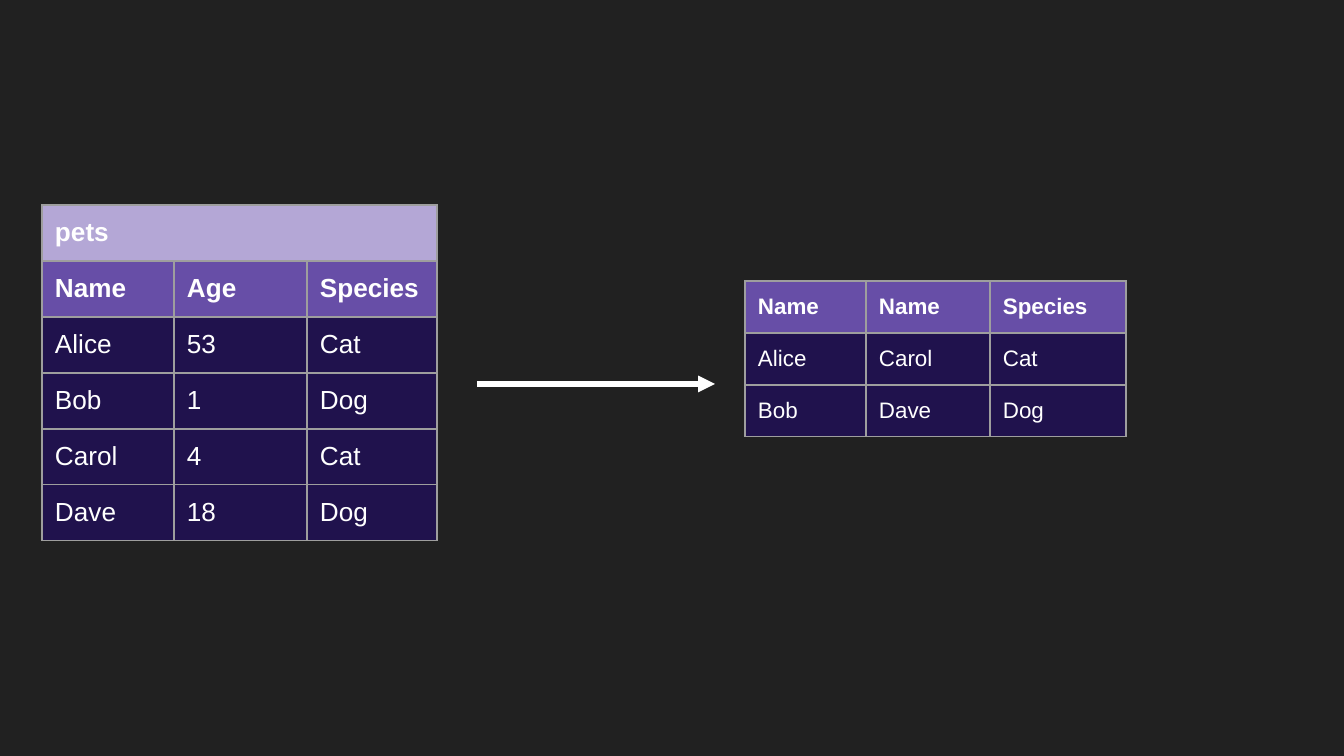
import pptx
import pptx.dml.color
import pptx.enum.shapes
import pptx.oxml.ns
import pptx.util
from lxml import etree

RGB = pptx.dml.color.RGBColor
DARK = RGB(0x21, 0x21, 0x21)
WHITE = RGB(0xFF, 0xFF, 0xFF)
LILAC = RGB(0xB4, 0xA7, 0xD6)
PURPLE = RGB(0x67, 0x4E, 0xA7)
NAVY = RGB(0x20, 0x12, 0x4D)
GREY = RGB(0x9E, 0x9E, 0x9E)

WIDE, HIGH = 1344, 756
PAD = 13
SCALE = pptx.util.Inches(10) / WIDE


def px(n):
    return pptx.util.Emu(round(n * SCALE))


def sub(node, tag, **attrs):
    return etree.SubElement(node, pptx.oxml.ns.qn(tag), attrs)


def write(frame, text, size=14, bold=False, color=WHITE, face="Arial"):
    run = frame.paragraphs[0].add_run()
    run.text = text
    font = run.font
    font.size = pptx.util.Pt(size)
    font.bold = bold
    font.name = face
    font.color.rgb = color


def style(cell, fill):
    """Set the padding, borders and fill of one cell."""
    cell.margin_left = cell.margin_right = px(PAD)
    cell.margin_top = cell.margin_bottom = px(PAD)
    props = cell._tc.get_or_add_tcPr()
    for side in ("L", "R", "T", "B"):
        line = sub(props, "a:ln" + side, w=str(pptx.util.Pt(0.75)))
        sub(sub(line, "a:solidFill"), "a:srgbClr", val=str(GREY))
    cell.fill.solid()
    cell.fill.fore_color.rgb = fill


def grid(slide, left, top, widths, row_h, rows, size, title=None):
    """Draw a table: optional title row, header row, then body rows."""
    lines = [(r, NAVY if i else PURPLE, i == 0) for i, r in enumerate(rows)]
    if title:
        lines.insert(0, ([title], LILAC, True))
    frame = slide.shapes.add_table(
        len(lines), len(widths), px(left), px(top),
        px(sum(widths)), px(row_h * len(lines)))
    table = frame.table
    for col, width in zip(table.columns, widths):
        col.width = px(width)
    for i, (texts, fill, bold) in enumerate(lines):
        table.rows[i].height = px(row_h)
        for cell in table.rows[i].cells:
            style(cell, fill)
        for j, text in enumerate(texts):
            write(table.cell(i, j).text_frame, text, size=size, bold=bold)
    if title:
        table.cell(0, 0).merge(table.cell(0, len(widths) - 1))


def arrow(slide, left, y, width):
    """Draw a level arrow pointing right."""
    line = slide.shapes.add_connector(
        pptx.enum.shapes.MSO_CONNECTOR.STRAIGHT,
        px(left), px(y), px(left + width), px(y))
    line.line.color.rgb = WHITE
    line.line.width = pptx.util.Pt(3)
    sub(line.line._get_or_add_ln(), "a:tailEnd", type="triangle")
    sub(line._element.spPr, "a:effectLst")


def main():
    deck = pptx.Presentation()
    deck.slide_width, deck.slide_height = px(WIDE), px(HIGH)
    slide = deck.slides.add_slide(deck.slide_layouts[6])
    slide.background.fill.solid()
    slide.background.fill.fore_color.rgb = DARK

    # Source table
    pets = [
        ("Name", "Age", "Species"),
        ("Alice", "53", "Cat"),
        ("Bob", "1", "Dog"),
        ("Carol", "4", "Cat"),
        ("Dave", "18", "Dog"),
    ]
    grid(slide, 42, 205, (132, 133, 130), 56, pets, 14, title="pets")

    # Joined pairs
    pairs = [
        ("Name", "Name", "Species"),
        ("Alice", "Carol", "Cat"),
        ("Bob", "Dave", "Dog"),
    ]
    grid(slide, 745, 281, (121, 124, 136), 52, pairs, 12)

    # Arrow between the tables
    arrow(slide, 477, 384, 238)

    deck.save("out.pptx")


if __name__ == "__main__":
    main()
